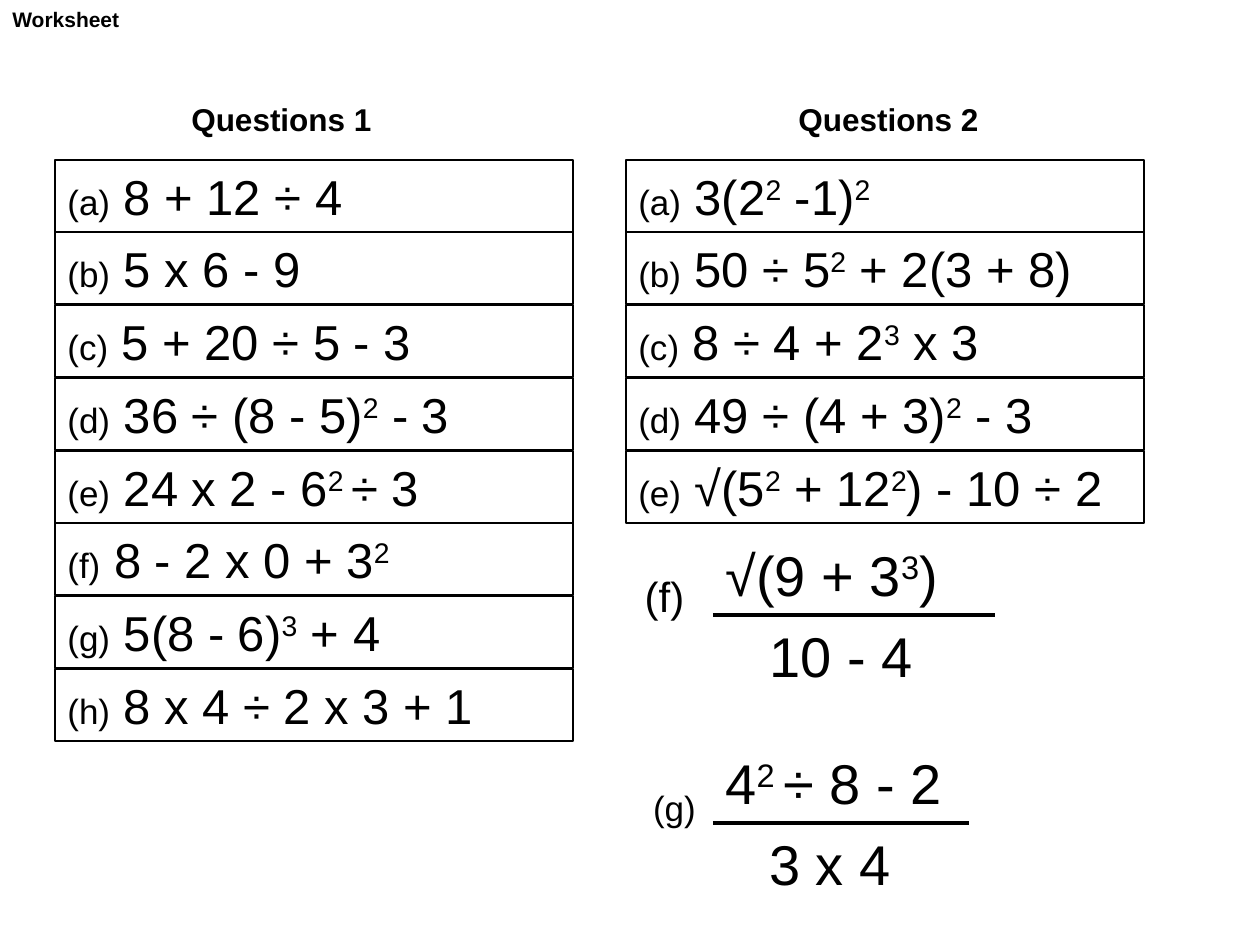
"""Build a worksheet slide with two columns of order-of-operations questions."""
from dataclasses import dataclass
from typing import NamedTuple

from lxml import etree
from pptx import Presentation
from pptx import util as u
from pptx.dml import color
from pptx.enum import shapes, text
from pptx.oxml import ns

EMU_PER_PX = 914400 / 126


@dataclass(frozen=True)
class Theme:
    font: str = "Arial"
    ink: color.RGBColor = color.RGBColor(0, 0, 0)
    title: int = 12
    heading: int = 18
    label: int = 20
    large_label: int = 24
    question: int = 28
    fraction: int = 32
    border: float = 0.75
    bar: float = 2.25
    superscript: str = "30000"


class Area(NamedTuple):
    left: int
    top: int
    width: int
    height: int


@dataclass(frozen=True)
class Column:
    heading: str
    heading_left: int
    left: int
    questions: tuple[str, ...]


@dataclass(frozen=True)
class Fraction:
    label: str
    label_size: int
    label_area: Area
    numerator: str
    numerator_width: int
    denominator: str
    denominator_width: int
    bar_top: int
    bar_width: int


THEME = Theme()
ROWS_TOP, ROWS_HEIGHT, MAX_ROWS = 160, 582, 8
ROW_WIDTH, ROW_HEIGHT = 518, 72
HEADING_TOP, HEADING_WIDTH, HEADING_HEIGHT = 94, 253, 51
BAR_LEFT, DENOMINATOR_LEFT, TERM_HEIGHT = 713, 757, 81

COLUMNS = (
    Column("Questions 1", 179, 55, (
        "8 + 12 ÷ 4",
        "5 x 6 - 9",
        "5 + 20 ÷ 5 - 3",
        "36 ÷ (8 - 5)^2^ - 3",
        "24 x 2 - 6^2 ^÷ 3",
        "8 - 2 x 0 + 3^2",
        "5(8 - 6)^3^ + 4",
        "8 x 4 ÷ 2 x 3 + 1",
    )),
    Column("Questions 2", 786, 626, (
        "3(2^2^ -1)^2",
        "50 ÷ 5^2^ + 2(3 + 8)",
        "8 ÷ 4 + 2^3^ x 3",
        "49 ÷ (4 + 3)^2^ - 3",
        "√(5^2^ + 12^2^) - 10 ÷ 2",
    )),
)
FRACTIONS = (
    Fraction("(f)", THEME.large_label, Area(626, 564, 77, 63),
             "√(9 + 3^3^)", 282, "10 - 4", 282, 615, 282),
    Fraction("(g)", THEME.label, Area(636, 780, 77, 55),
             "4^2 ^÷ 8 - 2", 326, "3 x 4", 212, 823, 256),
)


def px(length: int) -> u.Emu:
    """Turn pixels into EMU."""
    return u.Emu(round(length * EMU_PER_PX))


def write(box, words: str, *, size: int, bold: bool = False, centred: bool = False) -> None:
    """Append text to the box, raising every second part between carets."""
    frame = box.text_frame
    frame.word_wrap = True
    frame.vertical_anchor = text.MSO_ANCHOR.TOP
    para = frame.paragraphs[0]
    para.alignment = text.PP_ALIGN.CENTER if centred else text.PP_ALIGN.LEFT
    for index, part in enumerate(words.split("^")):
        if not part:
            continue
        span = para.add_run()
        span.text = part
        span.font.name = THEME.font
        span.font.size = u.Pt(size)
        span.font.bold = bold
        span.font.color.rgb = THEME.ink
        if index % 2:
            span.font._element.set("baseline", THEME.superscript)


def add_label(parent, area: Area, words: str, *, size: int, bold: bool = False,
              centred: bool = False) -> None:
    """Add a plain text box."""
    box = parent.shapes.add_textbox(*map(px, area))
    write(box, words, size=size, bold=bold, centred=centred)


def add_question(page, area: Area, letter: str, question: str) -> None:
    """Add a bordered question row."""
    box = page.shapes.add_shape(shapes.MSO_SHAPE.RECTANGLE, *map(px, area))
    box.shadow.inherit = False
    box.fill.background()
    box.line.color.rgb = THEME.ink
    box.line.width = u.Pt(THEME.border)
    write(box, f"({letter})", size=THEME.label)
    write(box, f" {question}", size=THEME.question)


def add_column(page, column: Column) -> None:
    """Add a heading and its stack of lettered questions."""
    add_label(page, Area(column.heading_left, HEADING_TOP, HEADING_WIDTH, HEADING_HEIGHT),
              column.heading, size=THEME.heading, bold=True)
    for index, (letter, question) in enumerate(zip("abcdefgh", column.questions)):
        top = ROWS_TOP + ROWS_HEIGHT * index // MAX_ROWS
        add_question(page, Area(column.left, top, ROW_WIDTH, ROW_HEIGHT), letter, question)


def add_fraction(page, fraction: Fraction) -> None:
    """Add a grouped fraction with its label and bar."""
    group = page.shapes.add_group_shape()
    top = fraction.bar_top
    add_label(group, fraction.label_area, fraction.label, size=fraction.label_size, centred=True)
    add_label(group, Area(BAR_LEFT, top - TERM_HEIGHT, fraction.numerator_width, TERM_HEIGHT),
              fraction.numerator, size=THEME.fraction)
    bar = group.shapes.add_connector(
        shapes.MSO_CONNECTOR.STRAIGHT,
        px(BAR_LEFT), px(top), px(BAR_LEFT + fraction.bar_width), px(top))
    bar.line.color.rgb = THEME.ink
    bar.line.width = u.Pt(THEME.bar)
    etree.SubElement(bar._element.spPr, ns.qn("a:effectLst"))
    add_label(group, Area(DENOMINATOR_LEFT, top, fraction.denominator_width, TERM_HEIGHT),
              fraction.denominator, size=THEME.fraction)


def main() -> None:
    """Build and save the worksheet."""
    deck = Presentation()
    deck.slide_width, deck.slide_height = px(1260), px(945)
    page = deck.slides.add_slide(deck.slide_layouts[6])
    for column in COLUMNS:
        add_column(page, column)
    for fraction in FRACTIONS:
        add_fraction(page, fraction)
    add_label(page, Area(0, 0, 253, 38), "Worksheet", size=THEME.title, bold=True)
    deck.save("out.pptx")


if __name__ == "__main__":
    main()
